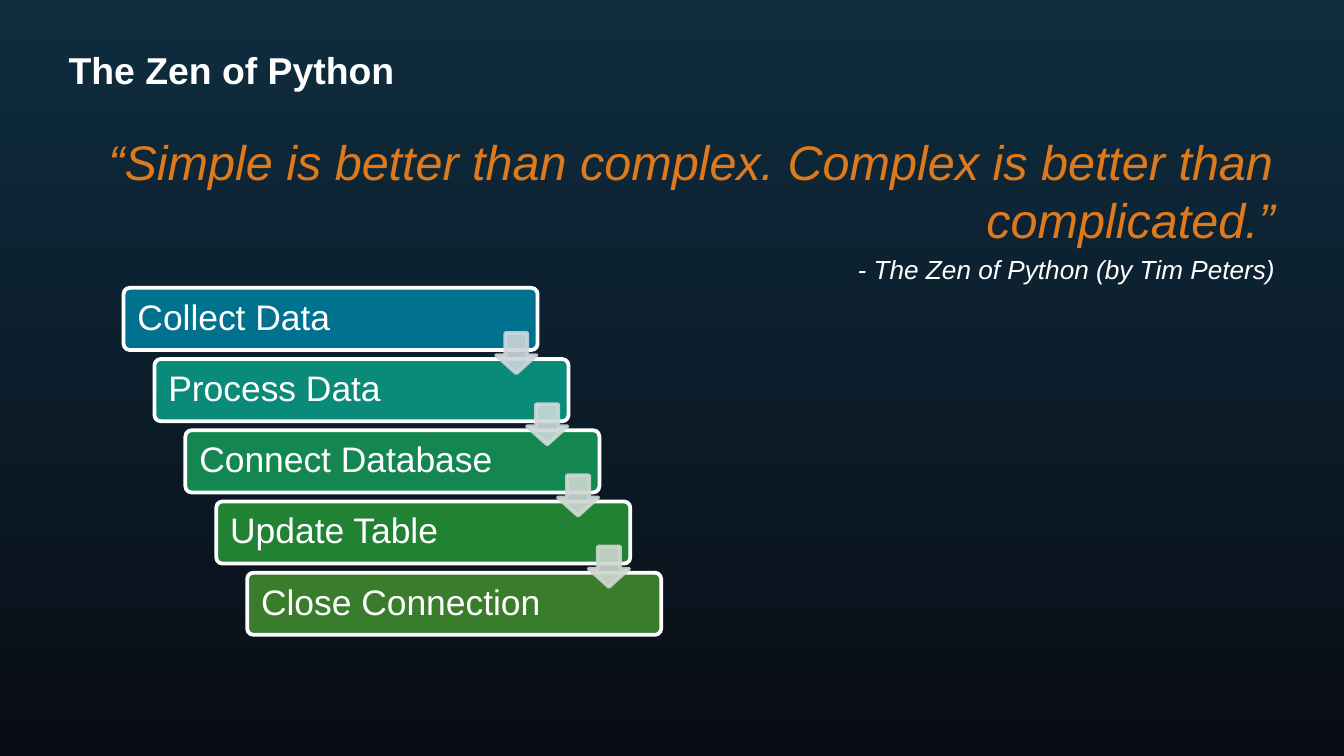
import pptx
import pptx.dml.color
import pptx.enum.shapes
import pptx.enum.text
import pptx.oxml
import pptx.util
from pptx.util import Pt

COLORS = {
    "background_top": "0E2D3F",
    "background_bottom": "0A0D16",
    "text": "FFFFFF",
    "quote": "DF7A1C",
}
FONT = "Arial"
STEPS = [
    ("Collect Data", "00728F"),
    ("Process Data", "0A8B7A"),
    ("Connect Database", "148751"),
    ("Update Table", "208232"),
    ("Close Connection", "387C2C"),
]
ARROW_COLORS = ["CCD5DB", "CDDAD9", "CDD8D2", "CED7CE"]

# Staircase geometry, in points
STEP_LEFT, STEP_TOP = 66.2, 154.2
STEP_WIDTH, STEP_HEIGHT = 221.8, 33.3
STEP_RIGHT, STEP_DOWN = 16.55, 38.15
ARROW_LEFT, ARROW_TOP, ARROW_SIZE = 265.8, 178.4, 21.6


def rgb(value):
    return pptx.dml.color.RGBColor.from_string(value)


def set_background(slide):
    fill = slide.background.fill
    fill.gradient()
    fill.gradient_angle = 270
    for stop, position, name in zip(
        fill.gradient_stops, (0, 1), ("background_top", "background_bottom")
    ):
        stop.position = position
        stop.color.rgb = rgb(COLORS[name])


def place(shape, left, top, width, height):
    shape.left, shape.top = Pt(left), Pt(top)
    shape.width, shape.height = Pt(width), Pt(height)


def add_run(paragraph, text, size, color, bold=False, italic=False):
    run = paragraph.add_run()
    run.text = text
    run.font.name = FONT
    run.font.size = Pt(size)
    run.font.bold = bold
    run.font.italic = italic
    run.font.color.rgb = rgb(color)


def remove_bullet(paragraph):
    properties = paragraph._p.get_or_add_pPr()
    properties.set("marL", "0")
    properties.set("indent", "0")
    properties.append(pptx.oxml.parse_xml(
        '<a:buNone xmlns:a="http://schemas.openxmlformats.org/drawingml/2006/main"/>'
    ))


def fill_title(title, text):
    place(title, 29.5, 19.4, 661, 36)
    frame = title.text_frame
    frame.auto_size = pptx.enum.text.MSO_AUTO_SIZE.NONE
    frame.vertical_anchor = pptx.enum.text.MSO_ANCHOR.MIDDLE
    paragraph = frame.paragraphs[0]
    paragraph.alignment = pptx.enum.text.PP_ALIGN.LEFT
    add_run(paragraph, text, 20, COLORS["text"], bold=True)


def fill_quote(body, lines):
    place(body, 30.2, 67, 660.3, 273)
    frame = body.text_frame
    frame.auto_size = pptx.enum.text.MSO_AUTO_SIZE.NONE
    for index, (text, size, color) in enumerate(lines):
        paragraph = frame.add_paragraph() if index else frame.paragraphs[0]
        paragraph.alignment = pptx.enum.text.PP_ALIGN.RIGHT
        remove_bullet(paragraph)
        add_run(paragraph, text, size, color, italic=True)


def add_filled_shape(slide, kind, box, adjustments, fill, line):
    shape = slide.shapes.add_shape(kind, *(Pt(length) for length in box))
    shape.shadow.inherit = False
    for index, value in enumerate(adjustments):
        shape.adjustments[index] = value
    shape.fill.solid()
    shape.fill.fore_color.rgb = rgb(fill)
    shape.line.color.rgb = rgb(line)
    shape.line.width = Pt(2)
    return shape


def add_step(slide, index, label, color):
    box = (STEP_LEFT + index * STEP_RIGHT, STEP_TOP + index * STEP_DOWN,
           STEP_WIDTH, STEP_HEIGHT)
    kind = pptx.enum.shapes.MSO_SHAPE.ROUNDED_RECTANGLE
    step = add_filled_shape(slide, kind, box, [0.1], color, COLORS["text"])
    frame = step.text_frame
    frame.margin_left = Pt(6.5)
    frame.margin_top = frame.margin_bottom = Pt(0)
    frame.vertical_anchor = pptx.enum.text.MSO_ANCHOR.MIDDLE
    paragraph = frame.paragraphs[0]
    paragraph.alignment = pptx.enum.text.PP_ALIGN.LEFT
    paragraph.line_spacing = 0.9
    add_run(paragraph, label, 19, COLORS["text"])


def add_step_arrow(slide, index, color):
    box = (ARROW_LEFT + index * STEP_RIGHT, ARROW_TOP + index * STEP_DOWN,
           ARROW_SIZE, ARROW_SIZE)
    kind = pptx.enum.shapes.MSO_SHAPE.DOWN_ARROW
    arrow = add_filled_shape(slide, kind, box, [0.55, 0.45], color, color)
    # Fill and line are both 90% opaque
    for color_element in arrow._element.spPr.xpath(".//a:srgbClr"):
        color_element.append(pptx.oxml.parse_xml(
            '<a:alpha xmlns:a="http://schemas.openxmlformats.org/drawingml/2006/main"'
            ' val="90000"/>'
        ))


def main():
    presentation = pptx.Presentation()
    presentation.slide_width = Pt(720)
    presentation.slide_height = Pt(405)
    slide = presentation.slides.add_slide(presentation.slide_layouts[1])
    set_background(slide)

    # Title and quotation
    fill_title(slide.shapes.title, "The Zen of Python")
    fill_quote(slide.placeholders[1], [
        ("“Simple is better than complex. Complex is better than complicated.”",
         26, COLORS["quote"]),
        ("- The Zen of Python (by Tim Peters)", 14, COLORS["text"]),
    ])

    # Staircase of steps, with the arrows in front
    for index, (label, color) in enumerate(STEPS):
        add_step(slide, index, label, color)
    for index, color in enumerate(ARROW_COLORS):
        add_step_arrow(slide, index, color)

    presentation.save("out.pptx")


if __name__ == "__main__":
    main()
